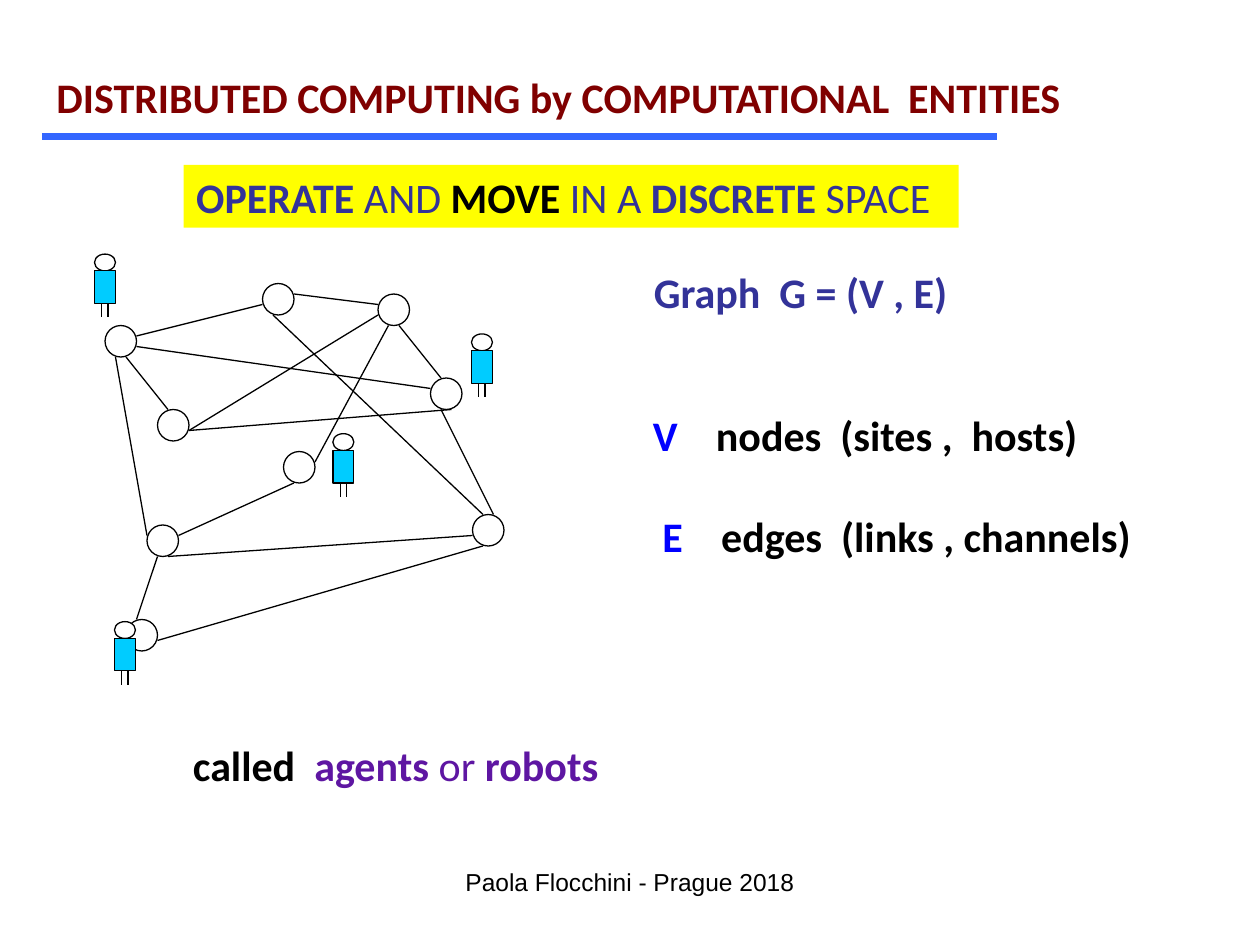
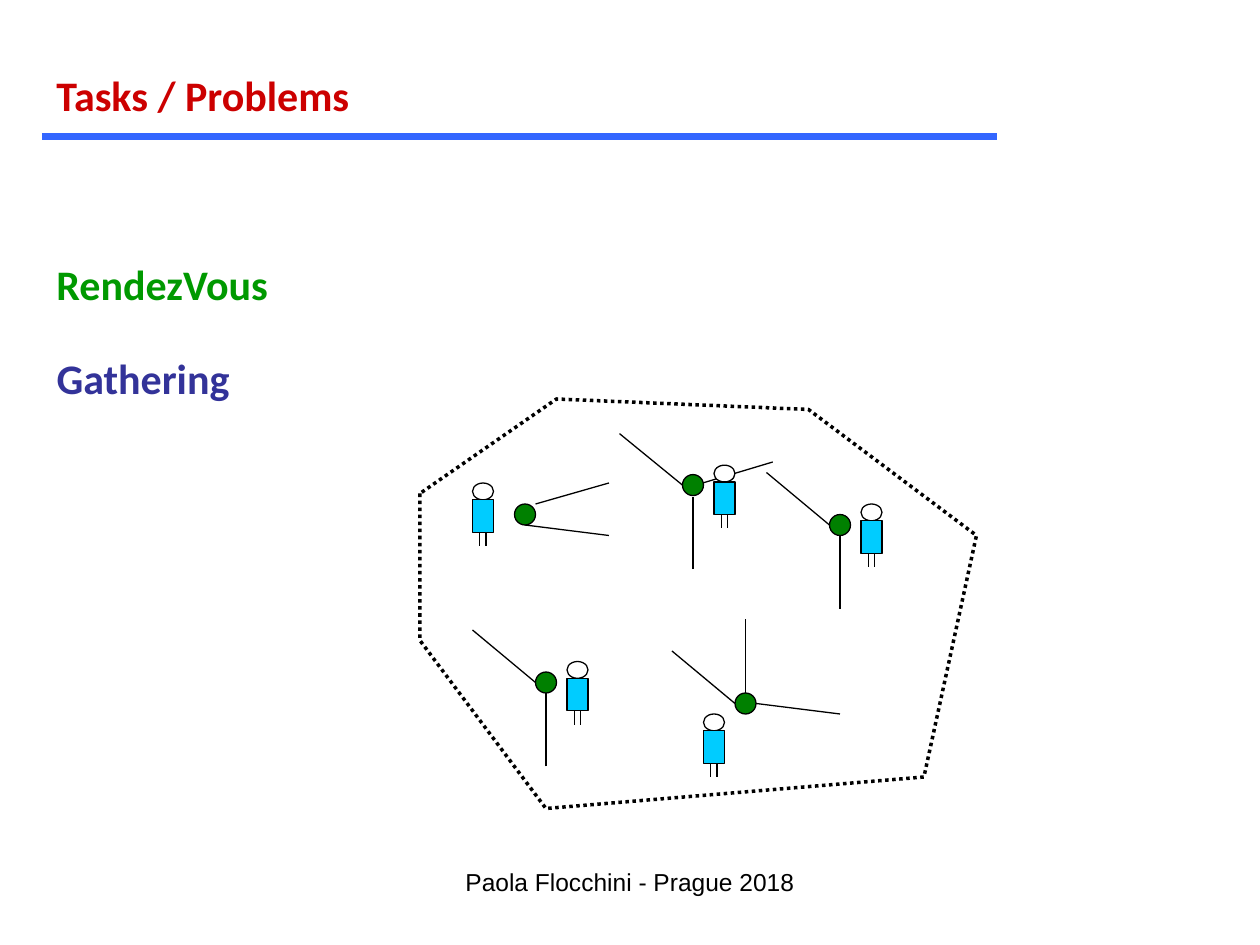
import dataclasses

import lxml.etree
import pptx
import pptx.dml.color
import pptx.enum.dml
import pptx.enum.shapes
import pptx.enum.text
import pptx.oxml.ns
import pptx.util

PX = 7620  # EMU per px, 120 px to the inch
OVAL = pptx.enum.shapes.MSO_SHAPE.OVAL
RECTANGLE = pptx.enum.shapes.MSO_SHAPE.RECTANGLE
LEFT = pptx.enum.text.PP_ALIGN.LEFT
CENTER = pptx.enum.text.PP_ALIGN.CENTER
RGB = pptx.dml.color.RGBColor.from_string


@dataclasses.dataclass(frozen=True)
class Theme:
    black: str = "000000"
    white: str = "FFFFFF"
    maroon: str = "800000"
    red: str = "CC0000"
    green: str = "009900"
    node_green: str = "008000"
    indigo: str = "333399"
    blue: str = "0000FF"
    purple: str = "5E16A2"
    yellow: str = "FFFF00"
    rule: str = "3366FF"
    robot: str = "00CCFF"
    thin: float = 0.75
    dotted: float = 2
    thick: float = 4
    paragraph_gap: float = 29
    body = {"name": "Calibri", "size": pptx.util.Pt(24)}
    footer = {"name": "Arial", "size": pptx.util.Pt(14)}


theme = Theme()


def add_outlined(shapes, kind, box, fill):
    """Add a preset shape with a thin black outline; fill None leaves it open."""
    shape = shapes.add_shape(kind, *(value * PX for value in box))
    shape.shadow.inherit = False
    if fill:
        shape.fill.solid()
        shape.fill.fore_color.rgb = RGB(fill)
    else:
        shape.fill.background()
    shape.line.color.rgb = RGB(theme.black)
    shape.line.width = pptx.util.Pt(theme.thin)
    return shape


def add_line(shapes, ends, color=theme.black, width=theme.thin):
    line = shapes.add_connector(
        pptx.enum.shapes.MSO_CONNECTOR.STRAIGHT, *(value * PX for value in ends))
    line.line.color.rgb = RGB(color)
    line.line.width = pptx.util.Pt(width)
    properties = line._element.spPr
    lxml.etree.SubElement(properties, pptx.oxml.ns.qn("a:effectLst"))


# A text is: box, paragraphs, alignment, font, fill.
# A paragraph is: tab stop, runs. A run is: text, colour, bold.
footer = ((410, 820, 380, 60),
          [(None, [("Paola Flocchini - Prague 2018", theme.black, False)])],
          CENTER, theme.footer, None)

graph_slide = {
    "node_size": 30,
    "node_fill": None,
    "nodes": [(100, 310), (250, 270), (410, 360), (150, 390), (270, 430),
              (360, 280), (140, 500), (450, 490), (120, 590)],
    "edges": [
        (130, 320, 250, 290), (120, 340, 160, 390), (130, 330, 410, 370),
        (380, 310, 420, 360), (260, 300, 460, 490), (170, 510, 280, 460),
        (110, 340, 140, 510), (180, 410, 360, 300), (280, 280, 360, 290),
        (160, 530, 450, 510), (180, 410, 430, 390), (420, 390, 470, 490),
        (370, 310, 300, 440), (150, 530, 130, 590), (150, 610, 460, 520),
    ],
    "boundary": [],
    "robots": [(90, 242), (317, 413), (109, 592), (449, 318)],
    "texts": [
        ((42, 62, 989, 60),
         [(None, [("DISTRIBUTED COMPUTING by COMPUTATIONAL  ENTITIES",
                   theme.maroon, True)])],
         LEFT, theme.body, None),
        ((175, 157, 738, 60),
         [(None, [("OPERATE", theme.indigo, True),
                  (" AND ", theme.indigo, False),
                  ("MOVE ", theme.black, True),
                  ("IN A ", theme.indigo, False),
                  ("DISCRETE ", theme.indigo, True),
                  ("SPACE", theme.indigo, False)])],
         LEFT, theme.body, theme.yellow),
        ((611, 248, 307, 60),
         [(None, [("Graph  G = (V , E)", theme.indigo, True)])],
         LEFT, theme.body, None),
        ((610, 384, 500, 157),
         [(60, [("V", theme.blue, True),
                ("\tnodes  (sites ,  hosts)", theme.black, True)]),
          (65, [(" E", theme.blue, True),
                ("\tedges  (links , channels)", theme.black, True)])],
         LEFT, theme.body, None),
        ((172, 698, 986, 60),
         [(None, [("called ", theme.black, True),
                  (" agents ", theme.purple, True),
                  ("or", theme.purple, False),
                  (" robots", theme.purple, True)])],
         LEFT, theme.body, None),
    ],
}

tasks_slide = {
    "node_size": 20,
    "node_fill": theme.node_green,
    "nodes": [(490, 480), (790, 490), (700, 660), (510, 640), (650, 452)],
    "edges": [
        (666, 461, 736, 440), (510, 480, 580, 460), (580, 510, 500, 500),
        (730, 450, 790, 500), (800, 580, 800, 510), (640, 620, 700, 670),
        (800, 680, 720, 670), (710, 660, 710, 590), (450, 600, 510, 650),
        (520, 730, 520, 660), (590, 413, 650, 462), (660, 542, 660, 473),
    ],
    "boundary": [(400, 470), (400, 610), (520, 770), (880, 740),
                 (930, 510), (770, 390), (530, 380)],
    "robots": [(820, 480), (670, 680), (450, 460), (540, 630), (680, 443)],
    "texts": [
        (box, [(None, [(text, color, True)])], LEFT, theme.body, None)
        for box, text, color in [
            ((42, 60, 310, 60), "Tasks / Problems", theme.red),
            ((42, 240, 240, 60), "RendezVous", theme.green),
            ((42, 330, 200, 60), "Gathering", theme.indigo),
        ]
    ],
}

presentation = pptx.Presentation()
presentation.slide_width = 1200 * PX
presentation.slide_height = 900 * PX

for content in (graph_slide, tasks_slide):
    slide = presentation.slides.add_slide(presentation.slide_layouts[6])
    shapes = slide.shapes
    add_line(shapes, (40, 130, 950, 130), theme.rule, theme.thick)

    if content["boundary"]:
        start, *corners = content["boundary"]
        builder = shapes.build_freeform(*start, scale=PX)
        builder.add_line_segments(corners, close=True)
        boundary = builder.convert_to_shape()
        boundary.shadow.inherit = False
        boundary.fill.background()
        boundary.line.color.rgb = RGB(theme.black)
        boundary.line.width = pptx.util.Pt(theme.dotted)
        boundary.line.dash_style = pptx.enum.dml.MSO_LINE.ROUND_DOT

    for ends in content["edges"]:
        add_line(shapes, ends)
    size = content["node_size"]
    for left, top in content["nodes"]:
        add_outlined(shapes, OVAL, (left, top, size, size), content["node_fill"])

    for left, top in content["robots"]:
        robot = shapes.add_group_shape().shapes
        add_outlined(robot, OVAL, (left, top, 20, 16), theme.white)
        add_outlined(robot, RECTANGLE, (left, top + 16, 20, 31), theme.robot)
        for leg in (left + 7, left + 13):
            add_line(robot, (leg, top + 47, leg, top + 60))

    for box, paragraphs, alignment, font, fill in content["texts"] + [footer]:
        if fill:
            shape = add_outlined(shapes, RECTANGLE, box, fill)
            shape.line.fill.background()
        else:
            shape = shapes.add_textbox(*(value * PX for value in box))
        frame = shape.text_frame
        frame.word_wrap = True
        frame.vertical_anchor = pptx.enum.text.MSO_ANCHOR.TOP
        for index, (tab_stop, runs) in enumerate(paragraphs):
            paragraph = frame.add_paragraph() if index else frame.paragraphs[0]
            paragraph.alignment = alignment
            if index:
                paragraph.space_before = pptx.util.Pt(theme.paragraph_gap)
            if tab_stop:
                tabs = lxml.etree.SubElement(
                    paragraph._p.get_or_add_pPr(), pptx.oxml.ns.qn("a:tabLst"))
                lxml.etree.SubElement(tabs, pptx.oxml.ns.qn("a:tab"),
                                      pos=str(tab_stop * PX), algn="l")
            for text, color, bold in runs:
                run = paragraph.add_run()
                run.text = text
                run.font.color.rgb = RGB(color)
                for name, value in {**font, "bold": bold}.items():
                    setattr(run.font, name, value)

presentation.save("out.pptx")
